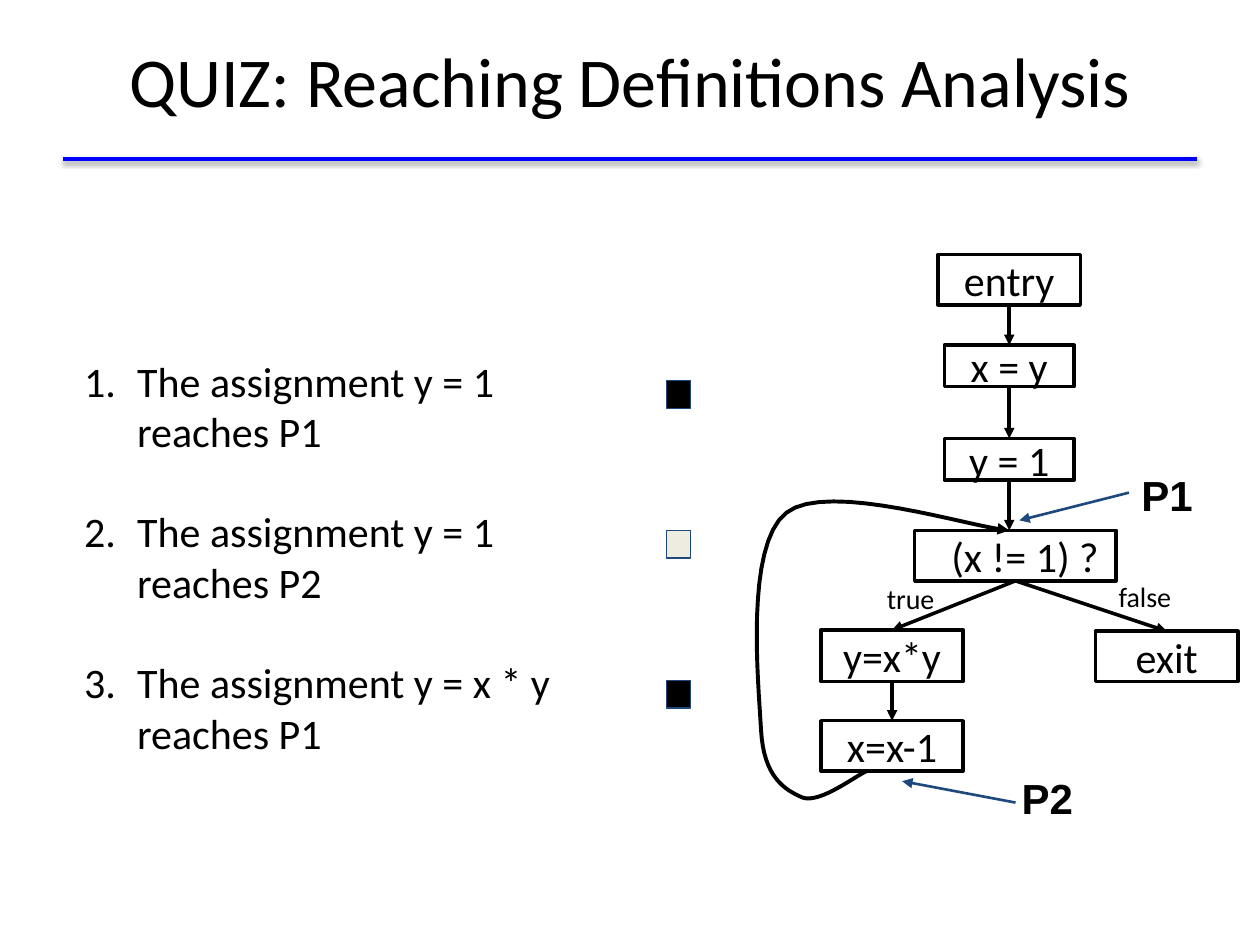
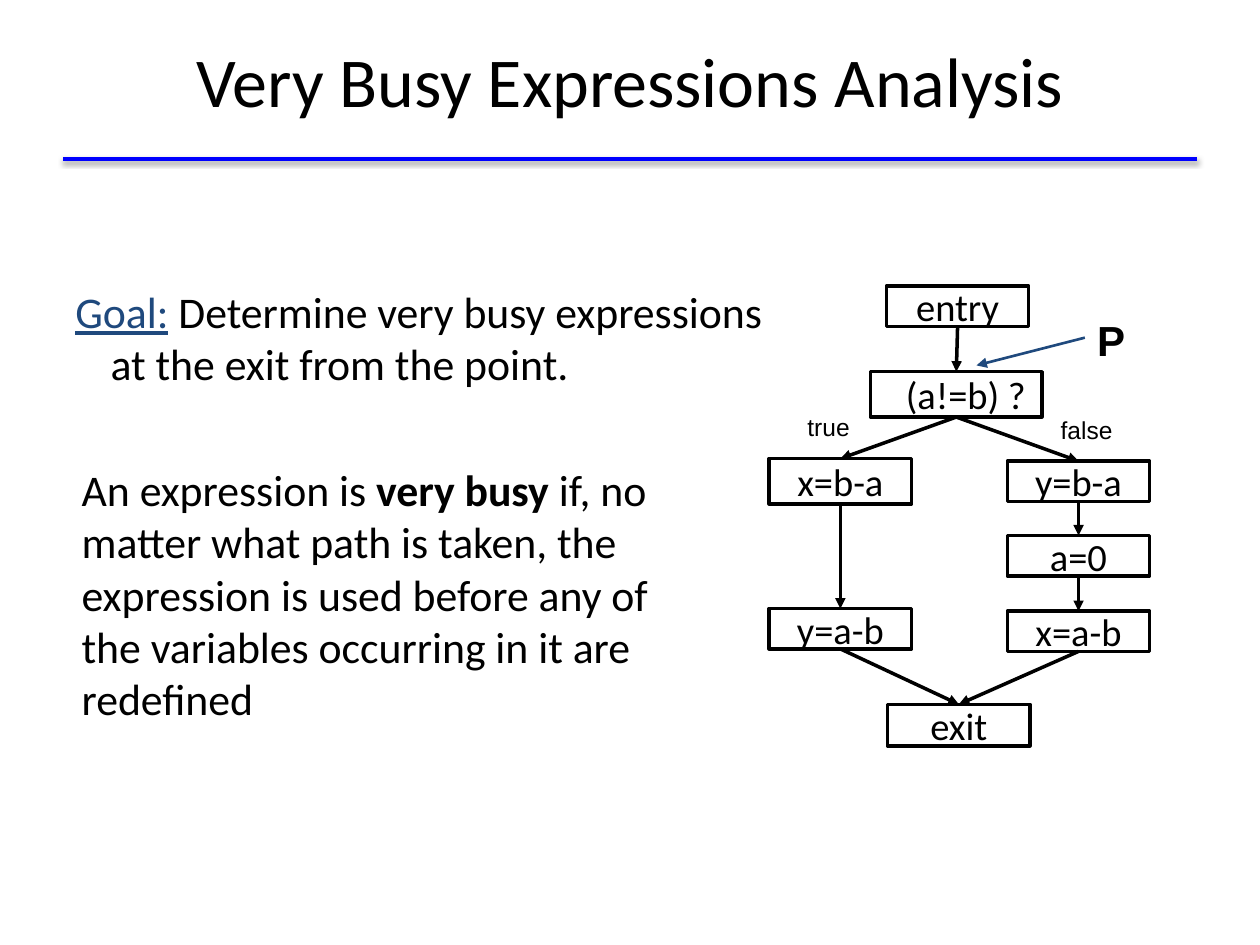
from lxml import etree
from pptx import Presentation
from pptx.dml.color import RGBColor
from pptx.enum.shapes import MSO_CONNECTOR, MSO_SHAPE
from pptx.enum.text import MSO_ANCHOR, PP_ALIGN
from pptx.oxml.ns import qn
from pptx.util import Inches, Pt

RECT, LINE = MSO_SHAPE.RECTANGLE, MSO_CONNECTOR.STRAIGHT
TOP, MID = MSO_ANCHOR.TOP, MSO_ANCHOR.MIDDLE
LEFT, MIDST = PP_ALIGN.LEFT, PP_ALIGN.CENTER
HUES = {"ink": "000000", "rule": "0000FF", "navy": "1F497D", "sand": "EEECE1"}

deck = Presentation()
deck.slide_width, deck.slide_height = Inches(10), Inches(7.5)
CELL = deck.slide_width / 100  # the grid has 100 columns and 75 rows


def write(shape, paras, font, align=LEFT, anchor=TOP, pads=(1, 1, 1, 1), **para_fmt):
    """Fill a shape with paragraphs, each a list of (text, font changes)."""
    frame = shape.text_frame
    sides = ("margin_left", "margin_top", "margin_right", "margin_bottom")
    fmt = {side: round(pad * CELL) for side, pad in zip(sides, pads)}
    for key, val in {**fmt, "word_wrap": True, "vertical_anchor": anchor}.items():
        setattr(frame, key, val)
    for i, runs in enumerate(paras):
        para = frame.add_paragraph() if i else frame.paragraphs[0]
        para.alignment = align
        for key, val in para_fmt.items():
            if key == "space_before":
                para.space_before = val if i else Pt(0)
            else:
                para._p.get_or_add_pPr().set(key, str(round(val * CELL)))
        for text, change in runs:
            run = para.add_run()
            run.text = text
            look = {"hue": "ink", **font, **change}
            run.font.color.rgb = RGBColor.from_string(HUES[look.pop("hue")])
            for key, val in look.items():
                setattr(run.font, key, val)


def stroke(shape, hue="ink", width=2, tip=True):
    """Set a line's colour and width, drop its shadow, and add an arrowhead."""
    shape.line.color.rgb = RGBColor.from_string(HUES[hue])
    shape.line.width = Pt(width)
    spot = shape.element.spPr
    if tip:
        etree.SubElement(spot.find(qn("a:ln")), qn("a:tailEnd"), type="triangle")
    if spot.find(qn("a:effectLst")) is None:
        etree.SubElement(spot, qn("a:effectLst"))
    return spot.find(qn("a:effectLst"))


HEAD = {"name": "Calibri", "size": Pt(40)}
QUIZ = {"name": "Calibri", "size": Pt(24)}
BODY = {"name": "Calibri", "size": Pt(25)}
POINT = {"name": "Arial", "size": Pt(24), "bold": True}

# Each chart: boxes as name: (centre column, top row, width, height), edges,
# labels as (text, column, row, width, height), pointers as (from, to).
charts = [
    {
        "title": "QUIZ: Reaching Definitions Analysis",
        "font": QUIZ,
        "boxes": {
            "entry": (80.1, 20.2, 11.3, 4), "x = y": (80.1, 27.4, 10.3, 3.3),
            "y = 1": (80.1, 34.8, 10.3, 3.3), "(x != 1) ?": (80.6, 42.1, 16, 4),
            "y=x*y": (70.8, 50, 11.3, 4.1), "x=x-1": (70.8, 57.2, 11.3, 4),
            "exit": (92.6, 50.1, 11.3, 4),
        },
        "edges": [("entry", "x = y"), ("x = y", "y = 1"), ("(x != 1) ?", "y=x*y"),
                  ("(x != 1) ?", "exit"), ("y=x*y", "x=x-1")],
        "rays": [("ink", 2, (80.1, 38.1), (80.1, 42.1)),
                 ("navy", 1.5, (89.6, 39.1), (80.9, 41.3)),
                 ("navy", 1.5, (80.6, 63.7), (71.6, 62))],
        "tags": {"name": "Calibri", "size": Pt(16)},
        "tag_row": MID,
        "labels": [("true", 69.4, 45.7, 6.7, 3.6), ("false", 87.8, 45.5, 6.7, 3.6)],
        "points": [("P1", 89.6, 36.3), ("P2", 80.1, 60.3)],
    },
    {
        "title": "Very Busy Expressions Analysis",
        "font": {"name": "Calibri", "size": Pt(22)},
        "boxes": {
            "entry": (76, 22.7, 11.3, 3.2), "(a!=b) ?": (75.9, 29.5, 13.6, 3.6),
            "x=b-a": (66.7, 36.4, 11.3, 3.6), "y=a-b": (66.7, 48.3, 11.3, 3.2),
            "y=b-a": (85.6, 36.6, 11.3, 3.2), "a=0": (85.6, 42.5, 11.3, 3.2),
            "x=a-b": (85.6, 48.5, 11.3, 3.2), "exit": (76.1, 55.9, 11.3, 3.3),
        },
        "edges": [("entry", "(a!=b) ?"), ("(a!=b) ?", "x=b-a"), ("(a!=b) ?", "y=b-a"),
                  ("x=b-a", "y=a-b"), ("y=b-a", "a=0"), ("a=0", "x=a-b"),
                  ("y=a-b", "exit"), ("x=a-b", "exit")],
        "rays": [("navy", 1.5, (86.1, 26.8), (77.5, 29))],
        "tags": {"name": "Arial", "size": Pt(14)},
        "tag_row": TOP,
        "labels": [("true", 63.1, 31.7, 5.5, 3.6), ("false", 83.2, 31.9, 6.3, 4.2)],
        "points": [("P", 86.1, 24)],
    },
]

sheets = []
for chart in charts:
    sheet = deck.slides.add_slide(deck.slide_layouts[5])
    sheets.append(sheet)
    title = sheet.shapes.title
    for key, val in {"left": 5, "top": 0.1, "width": 90, "height": 12.5}.items():
        setattr(title, key, round(val * CELL))
    write(title, [[(chart["title"], {})]], HEAD, MIDST, MID)

    ends = [round(n * CELL) for n in (5, 12.6, 95, 12.6)]
    glow = stroke(sheet.shapes.add_connector(LINE, *ends), "rule", 2, False)
    shade = etree.SubElement(glow, qn("a:outerShdw"), blurRad=str(Pt(3.1)),
                             dist=str(Pt(1.6)), dir="5400000", rotWithShape="0")
    tint = etree.SubElement(shade, qn("a:srgbClr"), val=HUES["ink"])
    etree.SubElement(tint, qn("a:alpha"), val="38000")

    nodes = {}
    for name, (mid, top, wide, high) in chart["boxes"].items():
        place = [round(n * CELL) for n in (mid - wide / 2, top, wide, high)]
        node = nodes[name] = sheet.shapes.add_shape(RECT, *place)
        node.fill.background()
        stroke(node, tip=False)
        # Tests sit a little right of the centre of their box
        pads = (2.5 if "?" in name else 1, 0.5, 1, 0.5)
        write(node, [[(name, {})]], chart["font"], MIDST, MID, pads)

    for start, end in chart["edges"]:
        edge = sheet.shapes.add_connector(LINE, 0, 0, 0, 0)
        edge.begin_connect(nodes[start], 2)
        edge.end_connect(nodes[end], 0)
        stroke(edge)

    for hue, width, start, end in chart["rays"]:
        ends = [round(n * CELL) for n in start + end]
        stroke(sheet.shapes.add_connector(LINE, *ends), hue, width)

    notes = [(*tag, chart["tags"], chart["tag_row"]) for tag in chart["labels"]]
    notes += [(*point, 7.7, 7.4, POINT, TOP) for point in chart["points"]]
    for text, *place, font, anchor in notes:
        note = sheet.shapes.add_textbox(*[round(n * CELL) for n in place])
        write(note, [[(text, {})]], font, anchor=anchor)

quiz, busy = sheets

# Quiz: numbered claims, each with an answer mark
claims = ["y = 1 reaches P1", "y = 1 reaches P2", "y = x * y reaches P1"]
place = [round(n * CELL) for n in (4.9, 27.2, 44.6, 34.4)]
panel = quiz.shapes.add_textbox(*place)
write(panel, [[("The assignment " + claim, {})] for claim in claims], QUIZ,
      marL=5, indent=-4.2, space_before=Pt(28.5))
for para in panel.text_frame.paragraphs:
    etree.SubElement(para._p.get_or_add_pPr(), qn("a:buFont"), typeface="+mj-lt")
    etree.SubElement(para._p.get_or_add_pPr(), qn("a:buAutoNum"), type="arabicPeriod")

for i, hue in enumerate(["ink", "sand", "ink"]):
    place = [round(n * CELL) for n in (52.9, 30.2 + 11.9 * i, 1.9, 2.2)]
    mark = quiz.shapes.add_shape(RECT, *place)
    mark.fill.solid()
    mark.fill.fore_color.rgb = RGBColor.from_string(HUES[hue])
    stroke(mark, "navy", 0.75, False)

# Quiz: the loop back to the test, as Bezier arcs sampled in equal steps
STEPS = 16
start = (68.8, 61.2)
arcs = [((68, 61.5), (65.1, 63.8), (63.7, 63.3)),
        ((62.3, 62.7), (60.6, 61.7), (60.4, 57.9)),
        ((60.2, 54.2), (59.1, 43.3), (62.4, 40.7)),
        ((65.7, 38.1), (77.2, 41.9), (80.1, 42.1))]
dots, last = [], start
for one, two, end in arcs:
    for step in range(1, STEPS + 1):
        t = step / STEPS
        dots.append([CELL * ((1 - t) ** 3 * a + 3 * t * (1 - t) ** 2 * b
                             + 3 * t ** 2 * (1 - t) * c + t ** 3 * d)
                     for a, b, c, d in zip(last, one, two, end)])
    last = end
pen = quiz.shapes.build_freeform(*[n * CELL for n in start])
pen.add_line_segments(dots, close=False)
loop = pen.convert_to_shape()
loop.fill.background()
stroke(loop, width=2.25)

# Busy expressions: the goal and the meaning
goal = [[("Goal:", {"hue": "navy", "underline": True}),
         (" Determine very busy expressions at the exit from the point.", {})]]
sense = [
    [("An expression is ", {}), ("very busy", {"bold": True}), (" if, no", {})],
    [("matter what path is taken, the", {})],
    [("expression is used before any of", {})],
    [("the variables occurring in it are", {})],
    [("redefined", {})],
]
for paras, place, pads in [(goal, (5, 21.6, 57.4, 10.2), (1, 1, 1, 1)),
                           (sense, (5.5, 36.2, 50, 22), (1, 0.5, 1, 0.5))]:
    panel = busy.shapes.add_textbox(*[round(n * CELL) for n in place])
    write(panel, paras, BODY, pads=pads, marL=2.8, indent=-2.8)

deck.save("out.pptx")
